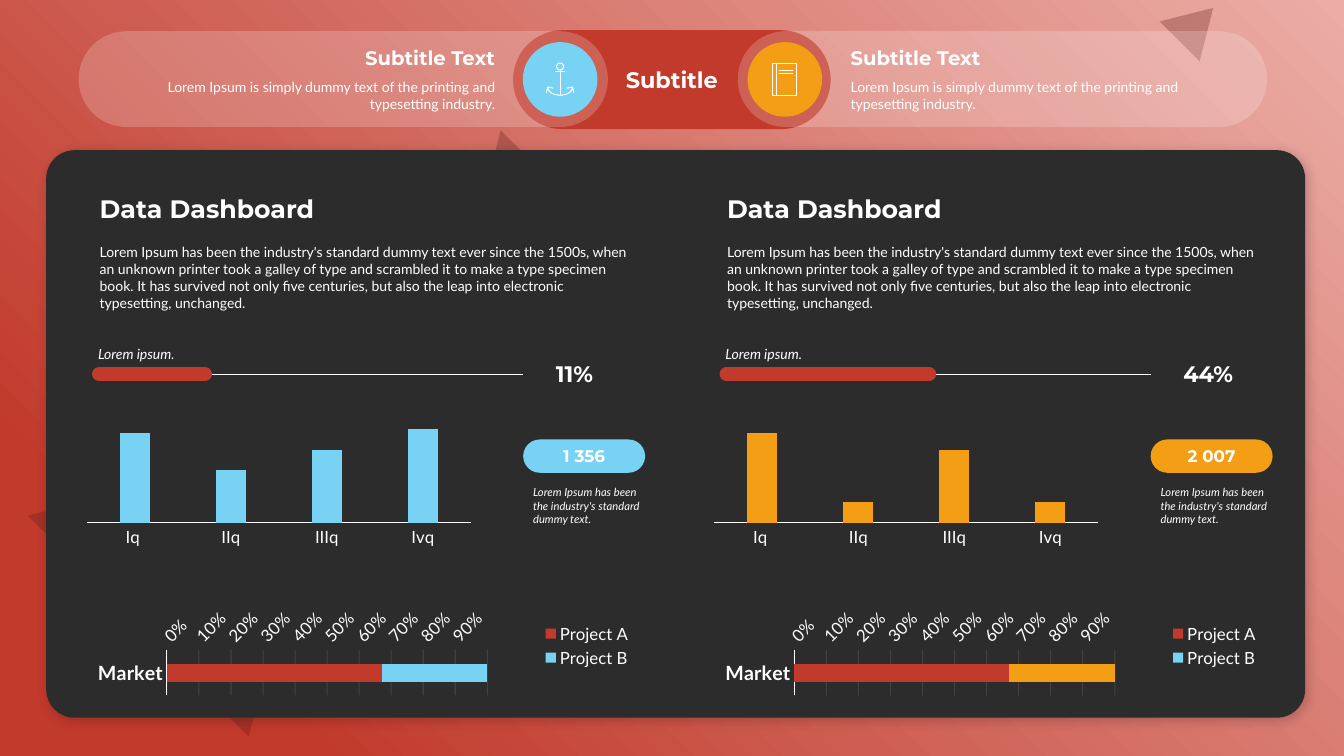
import math
from pptx import Presentation, oxml, util as u
from pptx.chart import data
from pptx.dml import color
from pptx.enum import chart as charts, shapes, text
from pptx.oxml import ns

Pt = u.Pt
WHITE, RED, BLUE, ORANGE, DARK, MAROON = "FFFFFF", "C13A2C", "78D2F4", "F39E14", "2C2C2C", "601D16"
HEAD, BODY = "Montserrat", "Lato"
LEFT, CENTER, RIGHT = text.PP_ALIGN.LEFT, text.PP_ALIGN.CENTER, text.PP_ALIGN.RIGHT
TOP, MIDDLE, BOTTOM = text.MSO_ANCHOR.TOP, text.MSO_ANCHOR.MIDDLE, text.MSO_ANCHOR.BOTTOM
RECT, ROUND = shapes.MSO_SHAPE.RECTANGLE, shapes.MSO_SHAPE.ROUNDED_RECTANGLE
OVAL, TRIANGLE = shapes.MSO_SHAPE.OVAL, shapes.MSO_SHAPE.ISOSCELES_TRIANGLE
DASHBOARD_STEP = 448.2
BLURB = "Lorem Ipsum is simply dummy text of the printing and typesetting industry."
STORY = ("Lorem Ipsum has been the industry's standard dummy text ever since the 1500s, when an unknown "
         "printer took a galley of type and scrambled it to make a type specimen book. It has survived not "
         "only five centuries, but also the leap into electronic typesetting, unchanged.")


def rgb(value):
    """Turn a hex string into a colour."""
    return color.RGBColor.from_string(value)


def xml(tag, body="", **attributes):
    """Make a DrawingML or chart element."""
    values = "".join(f' {name}="{value}"' for name, value in attributes.items())
    return oxml.parse_xml(f'<{tag}{values} {ns.nsdecls("a", "c")}>{body}</{tag}>')


def set_alpha(element, percent):
    """Make the first colour inside an element partly transparent."""
    element.find(".//" + ns.qn("a:srgbClr")).append(xml("a:alpha", val=percent * 1000))


def add_solid(slide, kind, box, fill, alpha=None, adjustment=None, rotation=0):
    """Add a borderless preset shape."""
    shape = slide.shapes.add_shape(kind, *map(Pt, box))
    shape.shadow.inherit = False
    shape.fill.solid()
    shape.fill.fore_color.rgb = rgb(fill)
    shape.line.fill.background()
    shape.rotation = rotation
    if alpha:
        set_alpha(shape.element.spPr, alpha)
    if adjustment is not None:
        shape.adjustments[0] = adjustment
    return shape


def write(shape, lines, align=LEFT, anchor=TOP, insets=(7.2, 3.6, 7.2, 3.6), after=0):
    """Fill a shape with (text, size, font, bold, italic) paragraphs."""
    frame = shape.text_frame
    frame.word_wrap = True
    frame.auto_size = text.MSO_AUTO_SIZE.NONE
    frame.vertical_anchor = anchor
    frame.margin_left, frame.margin_top, frame.margin_right, frame.margin_bottom = map(Pt, insets)
    frame.text = "\n".join(line[0] for line in lines)
    for paragraph, (_, size, name, bold, italic) in zip(frame.paragraphs, lines):
        properties = paragraph._p.get_or_add_pPr()
        properties.set("marL", "0")
        properties.set("indent", "0")
        properties.append(xml("a:buNone"))
        paragraph.alignment = align
        paragraph.space_before, paragraph.space_after = Pt(0), Pt(after)
        for run in paragraph.runs:
            run.font.size, run.font.name = Pt(size), name
            run.font.bold, run.font.italic = bold, italic
            run.font.color.rgb = rgb(WHITE)


def place(shape, box):
    """Move a placeholder to a box, in front of everything drawn so far."""
    shape.left, shape.top, shape.width, shape.height = map(Pt, box)
    shape.element.getparent().append(shape.element)
    return shape


def add_text(slide, box, line, **options):
    """Add a text box with one paragraph."""
    write(slide.shapes.add_textbox(*map(Pt, box)), [line], **options)


def add_line(slide, x1, y1, x2, y2, width, line_color=WHITE, cap="flat"):
    """Add a straight line."""
    line = slide.shapes.add_connector(shapes.MSO_CONNECTOR.STRAIGHT, *map(Pt, (x1, y1, x2, y2)))
    line.element.spPr.append(xml("a:effectLst"))
    line.line.width = Pt(width)
    line.line.color.rgb = rgb(line_color)
    line.line._get_or_add_ln().set("cap", cap)


def outline(shape):
    """Leave a shape with only a thin white outline."""
    shape.shadow.inherit = False
    shape.fill.background()
    shape.line.color.rgb = rgb(WHITE)
    shape.line.width = Pt(0.75)


def add_background(slide):
    """Add the radial gradient and its triangles."""
    backdrop = add_solid(slide, RECT, (0, 0, 960, 540), RED)
    solid = backdrop.element.spPr.find(ns.qn("a:solidFill"))
    stops = "".join(f'<a:gs pos="{position}"><a:srgbClr val="{value}"/></a:gs>'
                    for position, value in ((0, "EBADA6"), (85000, RED)))
    solid.getparent().replace(solid, xml("a:gradFill", (
        f'<a:gsLst>{stops}</a:gsLst><a:path path="circle">'
        '<a:fillToRect l="100000" b="100000"/></a:path>'), rotWithShape=1))
    for box, rotation in (((52.6, 289.4, 223.2, 185), 45), ((329, 108, 64.8, 54), 225),
                          ((834.5, 0.7, 40.3, 33.8), 45)):
        add_solid(slide, TRIANGLE, box, MAROON, alpha=30, rotation=rotation)


def add_anchor(slide):
    """Draw the anchor icon."""
    outline(slide.shapes.add_shape(OVAL, *map(Pt, (397.6, 45, 5, 5))))
    add_line(slide, 400.1, 50, 400.1, 68, 0.75)
    add_line(slide, 396.7, 50.8, 403.5, 50.8, 0.75)
    arc = [(400.1 - 8.8 * math.cos(math.pi * step / 16), 62.5 + 5.5 * math.sin(math.pi * step / 16))
           for step in range(17)]
    points = [(395.3, 63), (391.3, 62.2), (390.3, 66), *arc[1:-1], (409.9, 66), (408.9, 62.2), (404.9, 63)]
    points.insert(3, (391.3, 62.2))
    points.insert(-3, (408.9, 62.2))
    start, *rest = [(Pt(x), Pt(y)) for x, y in points]
    builder = slide.shapes.build_freeform(*start)
    builder.add_line_segments(rest, close=False)
    outline(builder.convert_to_shape())


def add_book(slide):
    """Draw the book icon."""
    outline(slide.shapes.add_shape(RECT, *map(Pt, (552, 45, 17.2, 23))))
    for line in ((554.8, 45, 554.8, 68), (556.8, 50.1, 566.8, 50.1), (556.8, 52.7, 566.8, 52.7)):
        add_line(slide, *line, 0.75)


def add_header(slide):
    """Add the title pill, the two side pills and their icons."""
    title_box = (366.5, 21.6, 226.8, 70.6)
    add_solid(slide, ROUND, title_box, RED, adjustment=0.5)
    write(place(slide.shapes.title, title_box), [("Subtitle", 16, HEAD, True, False)], CENTER, MIDDLE)
    lines = [("Subtitle Text", 14, HEAD, True, False), (BLURB, 10, BODY, False, False)]
    for left, align, insets in ((527, LEFT, (70.6, 3.6, 14.4, 3.6)), (56.2, RIGHT, (14.4, 3.6, 70.6, 3.6))):
        pill = add_solid(slide, ROUND, (left, 22.3, 378, 68.4), WHITE, alpha=20, adjustment=0.5)
        write(pill, lines, align, MIDDLE, insets, after=6)
    for left, fill in ((373.5, BLUE), (534, ORANGE)):
        add_solid(slide, OVAL, (left, 30.1, 53.3, 53.3), fill)
    add_anchor(slide)
    add_book(slide)


def add_panel(slide):
    """Add the dark rounded panel with its soft shadow."""
    panel = add_solid(slide, ROUND, (33, 107.3, 899.3, 405.4), DARK, adjustment=0.05)
    shadow = xml("a:outerShdw", f'<a:srgbClr val="000000"/>', blurRad=Pt(8), dist=Pt(3),
                 dir=45 * 60000, algn="tl", rotWithShape=0)
    set_alpha(shadow, 20)
    panel.element.spPr.find(ns.qn("a:effectLst")).append(shadow)


def add_chart(slide, kind, box, categories, series, plot_box, gap, overlap):
    """Add a chart with (name, values, colour) series and a fixed plot area."""
    chart_data = data.CategoryChartData()
    chart_data.categories = categories
    for name, values, _ in series:
        chart_data.add_series(name, values)
    chart = slide.shapes.add_chart(kind, *map(Pt, box), chart_data).chart
    chart.has_title = chart.has_legend = False
    chart.font.size, chart.font.name, chart.font.color.rgb = Pt(12), BODY, rgb(WHITE)
    plot = chart.plots[0]
    plot.gap_width, plot.overlap, plot.vary_by_categories = gap, overlap, False
    for item, (_, _, fill) in zip(plot.series, series):
        item.format.fill.solid()
        item.format.fill.fore_color.rgb = rgb(fill)
    chart.category_axis.major_tick_mark = chart.value_axis.major_tick_mark = charts.XL_TICK_MARK.NONE
    chart.category_axis.format.line.color.rgb = rgb(WHITE)
    chart.category_axis.format.line.width = Pt(0.75)
    settings = [("layoutTarget", "inner"), ("xMode", "edge"), ("yMode", "edge"), *zip("xywh", plot_box)]
    manual = "".join(f'<c:{name} val="{value}"/>' for name, value in settings)
    area = chart.element.find(".//" + ns.qn("c:plotArea"))
    for layout in area.findall(ns.qn("c:layout")):
        area.remove(layout)
    area.insert(0, xml("c:layout", f"<c:manualLayout>{manual}</c:manualLayout>"))
    return chart


def add_quarters(slide, left, values, maximum, accent):
    """Add the column chart of the four quarters."""
    chart = add_chart(slide, charts.XL_CHART_TYPE.COLUMN_CLUSTERED, (left - 7.7, 286.6, 288.7, 118.8),
                      ["Iq ", "IIq", "IIIq", "Ivq"], [("Series 1", values, accent)],
                      (0.02, 0.1, 0.95, 0.63), 219, -27)
    axis = chart.value_axis
    axis.visible = axis.has_major_gridlines = False
    axis.minimum_scale, axis.maximum_scale = 0, maximum


def add_market(slide, left, accent):
    """Add the stacked bar of the two projects."""
    chart = add_chart(slide, charts.XL_CHART_TYPE.BAR_STACKED_100, (left, 424.1, 394.6, 74.2), ["Market"],
                      [("Project A", [67], RED), ("Project B", [33], BLUE)], (0.14, 0.54, 0.58, 0.44), 155, 100)
    point = chart.plots[0].series[1].points[0].format.fill
    point.solid()
    point.fore_color.rgb = rgb(accent)
    chart.category_axis.reverse_order = True
    font = chart.category_axis.tick_labels.font
    font.size, font.bold = Pt(14), True
    axis = chart.value_axis
    axis.major_unit = 0.1
    axis.format.line.fill.background()
    axis.tick_labels.number_format, axis.tick_labels.number_format_is_linked = "0%", False
    axis.tick_labels.font.size = Pt(12)
    axis._element.find(".//" + ns.qn("a:bodyPr")).set("rot", str(-45 * 60000))
    grid = axis.major_gridlines.format.line
    grid.color.rgb, grid.width = rgb(WHITE), Pt(0.75)
    set_alpha(axis._element.find(ns.qn("c:majorGridlines")), 10)
    chart.has_legend = True
    chart.legend.position, chart.legend.include_in_layout = charts.XL_LEGEND_POSITION.RIGHT, False


def add_dashboard(slide, index, accent, total, share, progress, values, maximum):
    """Add one half of the panel."""
    left = 64 + index * DASHBOARD_STEP
    heading, story = (slide.placeholders[2 * index + offset] for offset in (1, 2))
    write(place(heading, (left, 134.6, 394.6, 28.8)), [("Data Dashboard", 18, HEAD, True, False)], anchor=BOTTOM)
    write(place(story, (left, 170.6, 394.6, 55.4)), [(STORY, 10, BODY, False, False)])
    add_line(slide, left + 3, 267.2, left + 309.7, 267.2, 0.5)
    add_line(slide, left + 6.8, 267.2, left + 6.8 + progress, 267.2, 10, RED, "rnd")
    add_text(slide, (left + 326, 253.7, 68.4, 26.6), (share, 16, HEAD, True, False), anchor=MIDDLE)
    add_text(slide, (left, 242.8, 138.2, 19.4), ("Lorem ipsum.", 10, BODY, False, True),
             anchor=BOTTOM, insets=(6, 3.6, 7.2, 3.6))
    badge = add_solid(slide, ROUND, (left + 309.7, 313.9, 87.1, 23.8), accent, adjustment=0.5)
    write(badge, [(total, 12, HEAD, True, False)], CENTER, MIDDLE, (0, 0, 0, 0))
    add_text(slide, (left + 309.7, 343.4, 99.4, 36),
             ("Lorem Ipsum has been the industry's standard dummy text.", 8, BODY, False, True))
    add_quarters(slide, left, values, maximum, accent)
    add_market(slide, left, accent)


def main():
    """Build the slide and save it."""
    presentation = Presentation()
    presentation.slide_width, presentation.slide_height = Pt(960), Pt(540)
    slide = presentation.slides.add_slide(presentation.slide_layouts.get_by_name("Comparison"))
    slide.background.fill.solid()
    slide.background.fill.fore_color.rgb = rgb(DARK)
    add_background(slide)
    add_header(slide)
    add_panel(slide)
    add_dashboard(slide, 0, BLUE, "1 356", "11%", 75.6, (96, 56, 78, 100), 112)
    add_dashboard(slide, 1, ORANGE, "2 007", "44%", 144.7, (100, 23, 81, 23), 117)
    presentation.save("out.pptx")


if __name__ == "__main__":
    main()
